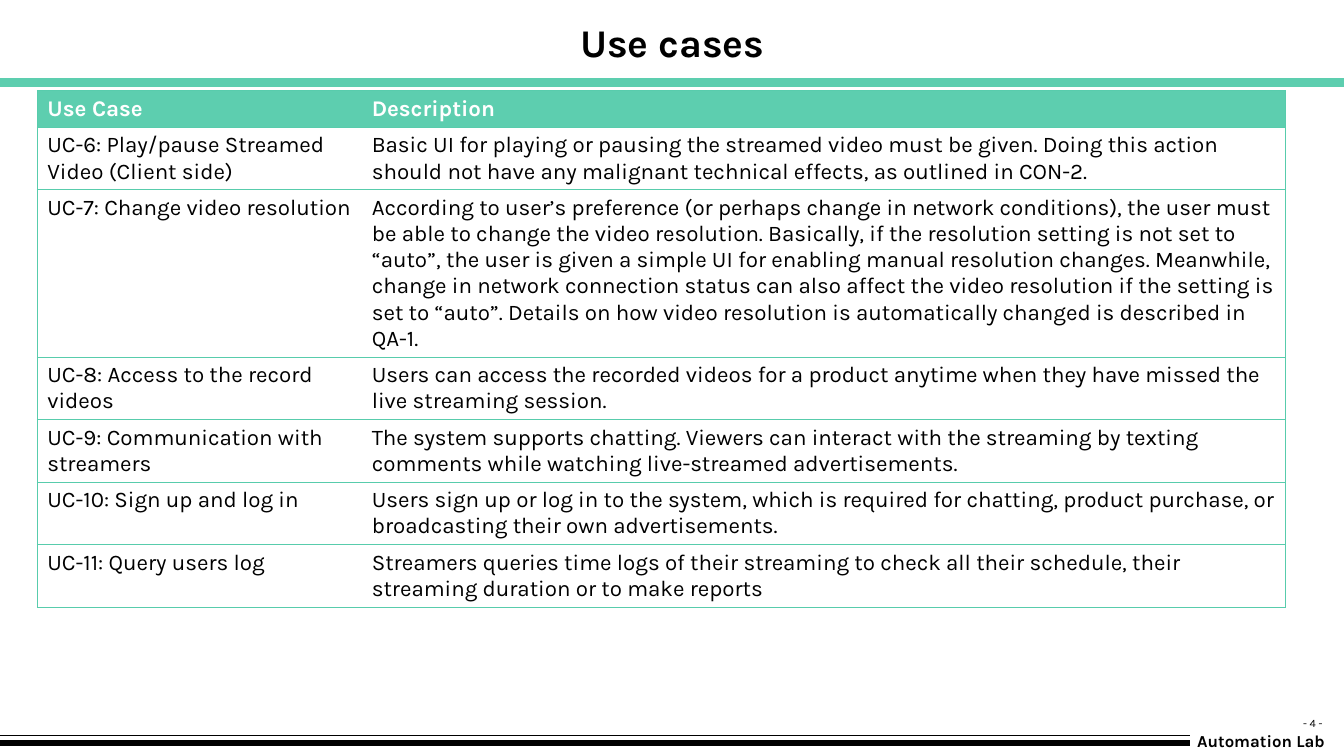
from lxml import etree
from pptx import Presentation
from pptx.dml.color import RGBColor
from pptx.enum import shapes, text
from pptx.oxml import ns
from pptx.util import Cm, Pt

FONT = "Karla"
BLACK, WHITE, MINT, RULE = "000000", "FFFFFF", "5DCEAF", "58CCAC"

USE_CASES = [
    ("Use Case", "Description"),
    ("UC-6: Play/pause Streamed Video (Client side)",
     "Basic UI for playing or pausing the streamed video must be given. Doing this action "
     "should not have any malignant technical effects, as outlined in CON-2."),
    ("UC-7: Change video resolution",
     "According to user’s preference (or perhaps change in network conditions), the user must "
     "be able to change the video resolution. Basically, if the resolution setting is not set to "
     "“auto”, the user is given a simple UI for enabling manual resolution changes. Meanwhile, "
     "change in network connection status can also affect the video resolution if the setting is "
     "set to “auto”. Details on how video resolution is automatically changed is described in QA-1."),
    ("UC-8: Access to the record videos",
     "Users can access the recorded videos for a product anytime when they have missed the "
     "live streaming session."),
    ("UC-9: Communication with streamers",
     "The system supports chatting. Viewers can interact with the streaming by texting "
     "comments while watching live-streamed advertisements."),
    ("UC-10: Sign up and log in",
     "Users sign up or log in to the system, which is required for chatting, product purchase, or "
     "broadcasting their own advertisements."),
    ("UC-11: Query users log",
     "Streamers queries time logs of their streaming to check all their schedule, their "
     "streaming duration or to make reports"),
]
COLUMN_SHARES = (0.26, 0.74)
HEADER_HEIGHT, TWO_LINES, SIX_LINES = 0.92, 1.57, 4.2
ROW_HEIGHTS = [HEADER_HEIGHT, TWO_LINES, SIX_LINES] + [TWO_LINES] * 4


def paint(target, colour):
    target.fill.solid()
    target.fill.fore_color.rgb = RGBColor.from_string(colour)


def write(frame, words, size, colour=BLACK, bold=False, align=text.PP_ALIGN.LEFT):
    frame.text = words
    paragraph = frame.paragraphs[0]
    paragraph.alignment = align
    font = paragraph.font
    font.name, font.size, font.bold = FONT, Pt(size), bold
    paint(font, colour)


def add_rule(slide, left, top, width, colour, weight):
    rule = slide.shapes.add_connector(
        shapes.MSO_CONNECTOR.STRAIGHT, Cm(left), Cm(top), Cm(left + width), Cm(top))
    rule.line.width = Pt(weight)
    paint(rule.line, colour)
    etree.SubElement(rule._element.spPr, ns.qn("a:effectLst"))


def add_label(slide, box, words, size, bold=False):
    label = slide.shapes.add_textbox(*map(Cm, box))
    label.text_frame.word_wrap = False
    write(label.text_frame, words, size, bold=bold)


def border_cell(cell, visible_sides):
    properties = cell._tc.get_or_add_tcPr()
    for side in "LRTB":
        edge = etree.SubElement(properties, ns.qn(f"a:ln{side}"), w=str(Pt(0.75)))
        if side in visible_sides:
            fill = etree.SubElement(edge, ns.qn("a:solidFill"))
            etree.SubElement(fill, ns.qn("a:srgbClr"), val=RULE)
        else:
            etree.SubElement(edge, ns.qn("a:noFill"))


def add_heading(slide, left, top, width, height):
    title = slide.shapes.title
    title.left, title.top, title.width, title.height = map(Cm, (left, top, width, height))
    title.text_frame.vertical_anchor = text.MSO_ANCHOR.MIDDLE
    title.text_frame.auto_size = text.MSO_AUTO_SIZE.NONE
    write(title.text_frame, "Use cases", 28, bold=True, align=text.PP_ALIGN.CENTER)
    add_rule(slide, 0, top + height + 0.23, 33.87, MINT, 6)


def add_use_cases(slide, left, top, width):
    table = slide.shapes.add_table(
        len(USE_CASES), len(COLUMN_SHARES),
        Cm(left), Cm(top), Cm(width), Cm(sum(ROW_HEIGHTS))).table
    table.horz_banding = False
    for column, share in zip(table.columns, COLUMN_SHARES):
        column.width = Cm(width * share)
    for row, height, entries in zip(table.rows, ROW_HEIGHTS, USE_CASES):
        row.height = Cm(height)
        is_header = entries is USE_CASES[0]
        for cell, words, outer_side in zip(row.cells, entries, "LR"):
            write(cell.text_frame, words, 16, WHITE if is_header else BLACK, is_header)
            border_cell(cell, outer_side + "TB")
            paint(cell, MINT if is_header else WHITE)


def add_footer(slide, top, width):
    add_label(slide, (width - 1.28, top, 1.24, 0.61), "- 4 -", 8)
    add_label(slide, (width - 3.95, top + 0.36, 3.76, 0.76), "Automation Lab", 12, bold=True)
    for drop, weight in ((0.61, 0.75), (0.79, 4.5)):
        add_rule(slide, 0, top + drop, width - 3.87, BLACK, weight)


deck = Presentation()
deck.slide_width, deck.slide_height = Cm(33.87), Cm(19.05)
use_case_slide = deck.slides.add_slide(deck.slide_layouts[5])
add_heading(use_case_slide, 0.94, 0.25, 32, 1.6)
add_use_cases(use_case_slide, 0.94, 2.29, 31.45)
add_footer(use_case_slide, 17.93, 33.87)
deck.save("out.pptx")
